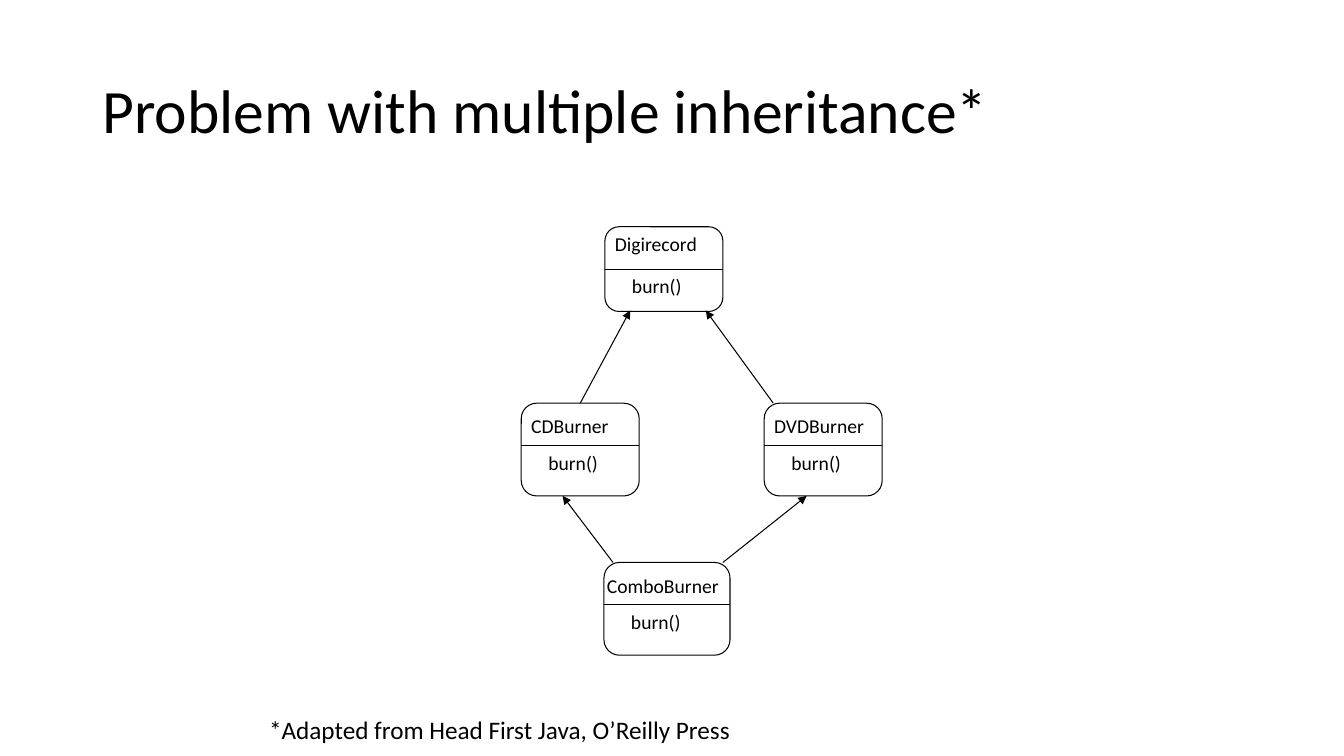
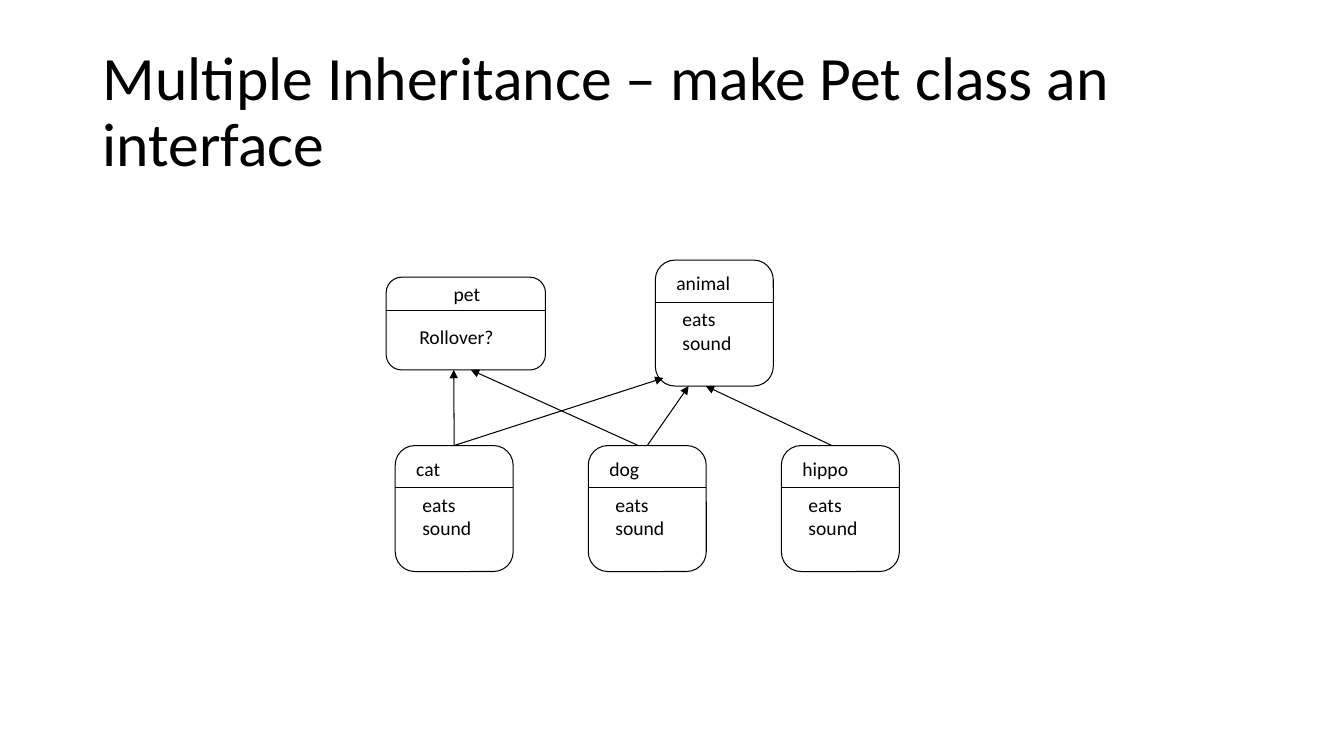
import pptx
import pptx.dml.color
import pptx.enum.shapes
import pptx.enum.text
import pptx.oxml
import pptx.oxml.ns
import pptx.util

Inches = pptx.util.Inches
FONT = "Calibri"
INK = "000000"
LINE_WIDTH = 0.75
CLASS_WIDTH = 1.17
TITLE_BOX = (0.92, 0.4, 11.5, 1.45)
TOP, LEFT, BOTTOM, RIGHT = range(4)


def colour(hex_code):
    return pptx.dml.color.RGBColor.from_string(hex_code)


def add_text(shapes, box, lines, size, spacing=None, anchor="TOP", right_inset=0.1):
    label = shapes.add_textbox(*map(Inches, box))
    frame = label.text_frame
    frame.word_wrap = True
    frame.margin_right = Inches(right_inset)
    frame.vertical_anchor = pptx.enum.text.MSO_ANCHOR[anchor]
    for index, line in enumerate(lines):
        paragraph = frame.add_paragraph() if index else frame.paragraphs[0]
        if spacing:
            paragraph.line_spacing = spacing
        run = paragraph.add_run()
        run.text = line
        run.font.size = pptx.util.Pt(size)
        run.font.name = FONT
        run.font.color.rgb = colour(INK)


def add_line(shapes, start, end, start_joint=None, end_joint=None, arrow=False):
    """Draw a line; a joint is a (shape, side) pair that the end sticks to."""
    line = shapes.add_connector(pptx.enum.shapes.MSO_CONNECTOR.STRAIGHT,
                                *map(Inches, (*start, *end)))
    if start_joint:
        line.begin_connect(*start_joint)
    if end_joint:
        line.end_connect(*end_joint)
    line.line.color.rgb = colour(INK)
    line.line.width = pptx.util.Pt(LINE_WIDTH)
    if arrow:
        tail = pptx.oxml.parse_xml(
            f'<a:tailEnd {pptx.oxml.ns.nsdecls("a")} type="triangle"/>')
        line.line._get_or_add_ln().append(tail)
    properties = line._element.spPr
    properties.append(pptx.oxml.parse_xml(
        f'<a:effectLst {pptx.oxml.ns.nsdecls("a")}/>'))


def add_class(slide, box, name, members, name_at=(0, 0.06), divider=0.42,
              member_at=(0.17, 0.42)):
    """Draw a class box; inner offsets count from its top left corner."""
    left, top, width, height = box
    shapes = slide.shapes.add_group_shape().shapes
    outline = shapes.add_shape(
        pptx.enum.shapes.MSO_SHAPE.ROUNDED_RECTANGLE, *map(Inches, box))
    outline.shadow.inherit = False
    outline.fill.background()
    outline.line.color.rgb = colour(INK)
    outline.line.width = pptx.util.Pt(LINE_WIDTH)

    name_x, name_y = name_at
    add_text(shapes, (left + name_x, top + name_y, width - name_x, 0.34),
             [name], 14, right_inset=0)
    halfway = divider == height / 2
    add_line(shapes, (left, top + divider), (left + width, top + divider),
             (outline, LEFT) if halfway else None,
             (outline, RIGHT) if halfway else None)
    member_x, member_y = member_at
    add_text(shapes, (left + member_x, top + member_y, width - 2 * member_x,
                      0.1 + 0.24 * len(members)), members, 14)
    return outline


def add_slide(deck, title):
    slide = deck.slides.add_slide(deck.slide_layouts[6])
    add_text(slide.shapes, TITLE_BOX, [title], 44, spacing=0.9, anchor="MIDDLE")
    return slide


def build_burner_slide(deck):
    slide = add_slide(deck, "Problem with multiple inheritance*")
    burn = ["burn()"]
    add_class(slide, (6, 2.25, CLASS_WIDTH, 0.84), "Digirecord", burn, (0, 0))
    add_class(slide, (7.58, 4, CLASS_WIDTH, 0.92), "DVDBurner", burn)
    cd_burner = add_class(slide, (5.17, 4, CLASS_WIDTH, 0.92), "CDBurner", burn)
    add_class(slide, (5.99, 5.58, 1.25, 0.92), "ComboBurner", burn, (-0.07, 0.06))

    for start, end, joint in (
        ((7.67, 4), (7, 3.08), None),
        ((5.75, 4), (6.25, 3.08), (cd_burner, TOP)),
        ((7.17, 5.58), (8, 4.92), None),
        ((6.08, 5.58), (5.58, 4.92), None),
    ):
        add_line(slide.shapes, start, end, joint, arrow=True)
    add_text(slide.shapes, (2.57, 7.04, 4.82, 0.4),
             ["*Adapted from Head First Java, O’Reilly Press"], 18, right_inset=0)


def build_pet_slide(deck):
    slide = add_slide(deck, "Multiple Inheritance – make Pet class an interface")
    habits = ["eats", "sound"]
    name_at = (0.11, 0.06)
    add_class(slide, (6.5, 2.58, CLASS_WIDTH, 1.25), "animal", habits, name_at)
    cat, dog, _ = [
        add_class(slide, (3.92 + 1.915 * column, 4.42, CLASS_WIDTH, 1.25),
                  name, habits, name_at)
        for column, name in enumerate(("cat", "dog", "hippo"))
    ]
    add_class(slide, (3.83, 2.75, 1.58, 0.92), "pet", ["Rollover?"],
              (0.57, 0), 0.33, (0.23, 0.42))

    for start, end, joint in (
        ((4.5, 4.42), (6.58, 3.75), (cat, TOP)),
        ((6.42, 4.42), (6.83, 3.83), (dog, TOP)),
        ((8.25, 4.42), (7, 3.83), None),
        ((4.5, 4.42), (4.5, 3.67), (cat, TOP)),
        ((6.33, 4.42), (4.67, 3.67), None),
    ):
        add_line(slide.shapes, start, end, joint, arrow=True)


def main():
    deck = pptx.Presentation()
    deck.slide_width = Inches(13.33)
    deck.slide_height = Inches(7.5)
    build_burner_slide(deck)
    build_pet_slide(deck)
    deck.save("out.pptx")


if __name__ == "__main__":
    main()
